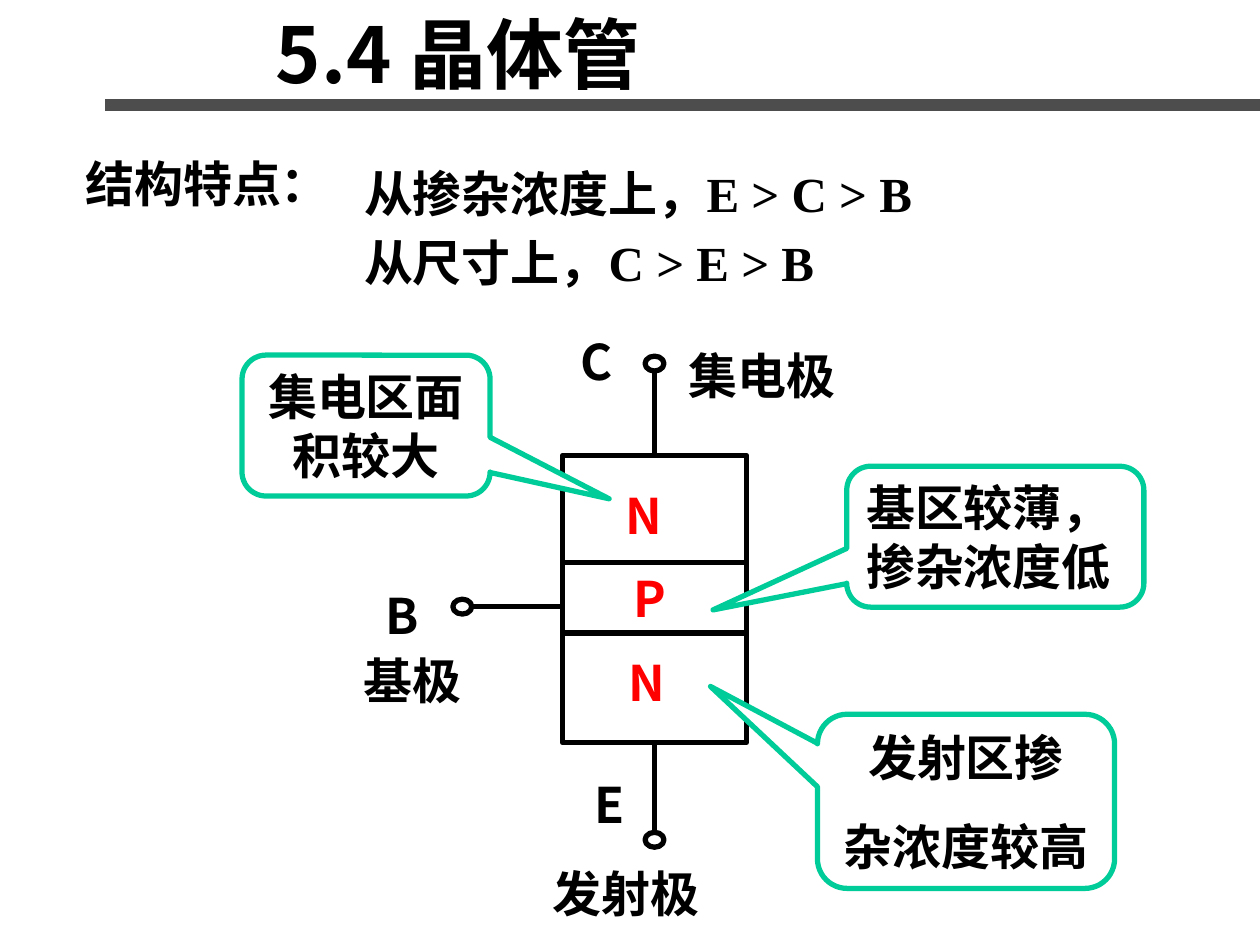
from dataclasses import dataclass

from lxml.etree import SubElement
from pptx import Presentation
from pptx.dml.color import RGBColor
from pptx.enum.shapes import MSO_CONNECTOR as Connector, MSO_SHAPE as Shape
from pptx.enum.text import MSO_ANCHOR as Anchor, PP_ALIGN as Align
from pptx.oxml.ns import qn
from pptx.util import Cm, Pt


@dataclass(frozen=True)
class Theme:
    ink: RGBColor = RGBColor(0, 0, 0)
    paper: RGBColor = RGBColor(255, 255, 255)
    rule: RGBColor = RGBColor(0x4D, 0x4D, 0x4D)
    region: RGBColor = RGBColor(255, 0, 0)
    callout: RGBColor = RGBColor(0, 0xCC, 0x99)
    sans: str = "Noto Sans CJK SC"
    serif: str = "Times New Roman"
    title: int = 44
    body: int = 28
    leading: float = 1.2
    gap: float = 17.5
    stroke: int = 3
    rule_width: int = 7


THEME = Theme()
LINE_HEIGHT = 1.45


def style_span(span, size, color, face):
    span.font.size = Pt(size)
    span.font.bold = True
    span.font.color.rgb = color
    span.font.name = face
    east_asian = SubElement(span.font._element, qn("a:ea"))
    east_asian.set("typeface", THEME.sans)


def write(shape, paragraphs, size=THEME.body, color=THEME.ink, align=Align.LEFT,
          anchor=Anchor.TOP, wrap=True):
    frame = shape.text_frame
    frame.word_wrap = wrap
    frame.vertical_anchor = anchor
    if not wrap:
        frame.margin_left = frame.margin_right = 0
    for index, pieces in enumerate(paragraphs):
        para = frame.add_paragraph() if index else frame.paragraphs[0]
        para.alignment = align
        para.line_spacing = Pt(size * THEME.leading)
        if index:
            para.space_before = Pt(THEME.gap)
        for text, face in pieces:
            span = para.add_run()
            span.text = text
            style_span(span, size, color, face)


def add_text(page, box, pieces, **style):
    shape = page.shapes.add_textbox(*map(Cm, box))
    write(shape, [pieces], **style)


def add_outline(page, kind, box, color=THEME.ink, fill=None):
    shape = page.shapes.add_shape(kind, *map(Cm, box))
    shape.shadow.inherit = False
    if fill is None:
        shape.fill.background()
    else:
        shape.fill.solid()
        shape.fill.fore_color.rgb = fill
    shape.line.color.rgb = color
    shape.line.width = Pt(THEME.stroke)
    return shape


def add_line(page, start, end, color=THEME.ink, width=THEME.stroke):
    line = page.shapes.add_connector(Connector.STRAIGHT, *map(Cm, start + end))
    line.line.color.rgb = color
    line.line.width = Pt(width)
    SubElement(line._element.spPr, qn("a:effectLst"))
    return line


def build_header(page, box):
    left, top, width, height = box
    add_line(page, (left, top + height), (left + width, top + height),
             THEME.rule, THEME.rule_width)
    add_text(page, (left + 3.19, top, 14.81, height),
             [("5.4 晶体管", THEME.sans)], size=THEME.title)


def build_features(page, box):
    left, top, width, height = box
    add_text(page, (left, top, 6.2, LINE_HEIGHT), [("结构特点：", THEME.sans)])
    statements = [("从掺杂浓度上，", "E > C > B"), ("从尺寸上，", "C > E > B")]
    pitch = height - LINE_HEIGHT - 0.2
    for row, (aspect, order) in enumerate(statements):
        add_text(page, (left + 5.62, top + 0.2 + row * pitch, width - 5.62, LINE_HEIGHT),
                 [(aspect, THEME.sans), (order, THEME.serif)])


def add_terminal(page, x, y):
    width, height = 0.38, 0.3
    add_outline(page, Shape.OVAL, (x - width / 2, y - height / 2, width, height))


def build_transistor(page, box):
    left, top, width, height = box
    stack_left, stack_width = left + 4.25, 3.71
    middle = stack_left + stack_width / 2
    edge = top + 2.63
    layers = []
    for thickness in (2.16, 1.42, 2.21):
        layers.append(add_outline(page, Shape.RECTANGLE,
                                  (stack_left, edge, stack_width, thickness)))
        edge += thickness

    collector, emitter, base = top + 0.78, top + height - 1.79, top + 5.68
    lead = add_line(page, (middle, top + 2.63), (middle, collector + 0.15))
    lead.begin_connect(layers[0], 0)
    lead = add_line(page, (middle, edge), (middle, emitter - 0.15))
    lead.begin_connect(layers[2], 2)
    add_line(page, (stack_left, base), (left + 2.42, base))
    for x, y in ((middle, collector), (middle, emitter), (left + 2.23, base)):
        add_terminal(page, x, y)

    labels = [
        ("C", 4.37, 0, 1.12, THEME.ink),
        ("集电极", 6.55, 0.28, 3.45, THEME.ink),
        ("B", 0.43, 5.13, 1.17, THEME.ink),
        ("基极", 0, 6.43, 2.46, THEME.ink),
        ("E", 4.67, 8.94, 1.04, THEME.ink),
        ("发射极", 3.81, 10.72, 3.45, THEME.ink),
        ("N", 5.23, 3.1, 1.32, THEME.region),
        ("P", 5.36, 4.78, 1.32, THEME.region),
        ("N", 5.28, 6.48, 1.32, THEME.region),
    ]
    for text, x, y, label_width, color in labels:
        add_text(page, (left + x, top + y, label_width, LINE_HEIGHT),
                 [(text, THEME.sans)], color=color, align=Align.CENTER,
                 anchor=Anchor.MIDDLE, wrap=False)


def build_callout(page, box, tip, lines, align=Align.CENTER):
    callout = add_outline(page, Shape.ROUNDED_RECTANGULAR_CALLOUT, box,
                          THEME.callout, THEME.paper)
    for index, value in enumerate((*tip, 0.17)):
        callout.adjustments[index] = value
    write(callout, [[(line, THEME.sans)] for line in lines], align=align,
          anchor=Anchor.MIDDLE)


def main():
    deck = Presentation()
    deck.slide_width, deck.slide_height = Cm(25.4), Cm(19.05)
    page = deck.slides.add_slide(deck.slide_layouts[6])
    build_header(page, (2.12, 0, 23.28, 2.11))
    build_transistor(page, (7.09, 6.55, 10, 12.17))
    build_features(page, (1.47, 2.97, 19.49, 3.05))
    build_callout(page, (4.88, 7.16, 5, 2.84), (0.98, 0.52), ["集电区面积较大"])
    build_callout(page, (17.07, 9.4, 5.99, 2.84), (-0.95, 0.52),
                  ["基区较薄，掺杂浓度低"], Align.LEFT)
    build_callout(page, (16.48, 14.4, 5.99, 3.51), (-0.86, -0.66),
                  ["发射区掺", "杂浓度较高"])
    deck.save("out.pptx")


if __name__ == "__main__":
    main()
